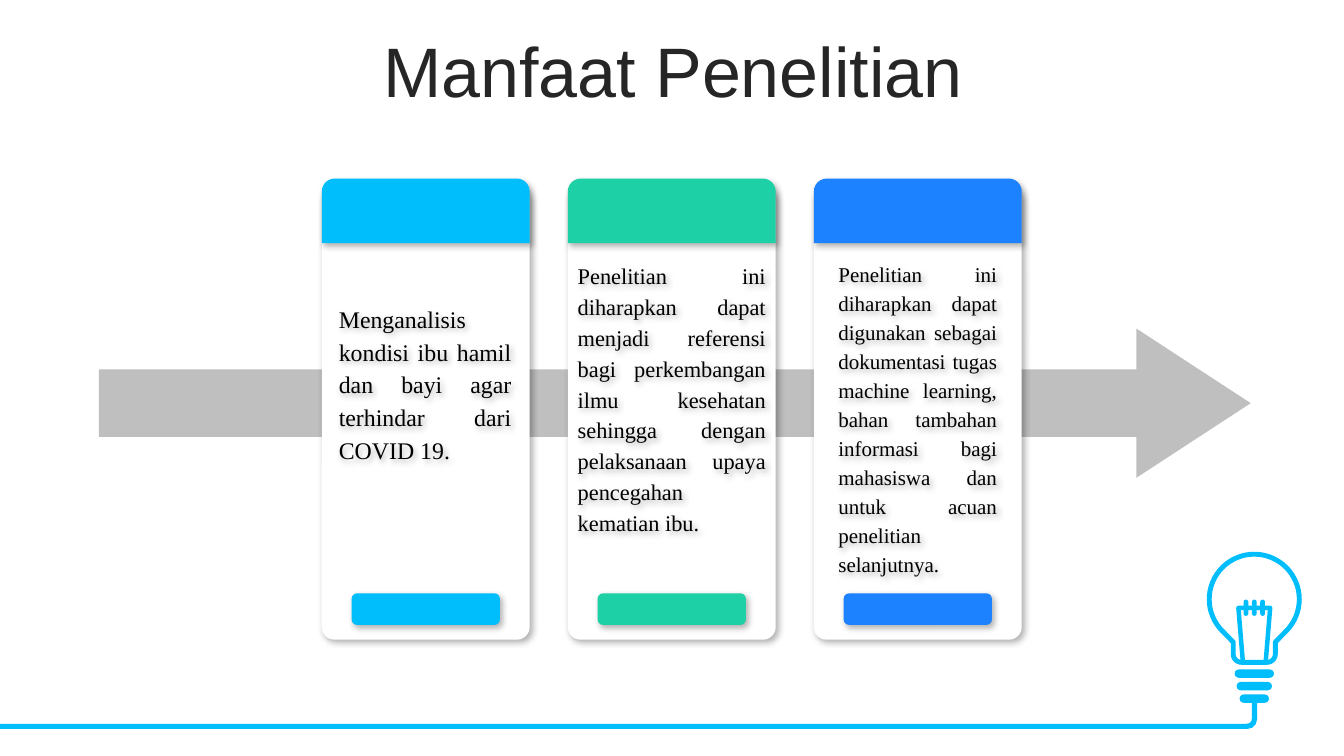
"""Build the "Manfaat Penelitian" slide: three benefit cards on an arrow, with a light bulb."""
from math import cos, radians, sin

from lxml.etree import SubElement
from pptx import Presentation
from pptx.dml.color import RGBColor
from pptx.enum.shapes import MSO_SHAPE as SHAPE
from pptx.enum.text import MSO_ANCHOR as ANCHOR, MSO_AUTO_SIZE as AUTO_SIZE, PP_ALIGN as ALIGN
from pptx.oxml.ns import qn
from pptx.util import Cm, Pt

CYAN, WHITE = "00BDFB", "FFFFFF"


def paint(part, color, adjustments=(), shadow=False):
    """Style a part; a color of None leaves its fill alone."""
    part.shadow.inherit = False
    if color:
        part.fill.solid()
        part.fill.fore_color.rgb = RGBColor.from_string(color)
        part.line.fill.background()
    for index, value in enumerate(adjustments):
        part.adjustments[index] = value
    if shadow:
        effects = part._element.spPr.find(qn("a:effectLst"))
        outer = SubElement(effects, qn("a:outerShdw"), blurRad=str(Pt(4.5)), dist=str(Pt(2.6)),
                           dir=str(53 * 60000), algn="tl", rotWithShape="0")
        black = SubElement(outer, qn("a:srgbClr"), val="000000")
        SubElement(black, qn("a:alpha"), val="30000")
    return part


def arc(x, y, radius, start, end):
    """Return points on an arc, in Cm, with angles in degrees."""
    steps = 48
    angles = [radians(start + (end - start) * step / steps) for step in range(steps + 1)]
    return [(Cm(x + radius * cos(angle)), Cm(y + radius * sin(angle))) for angle in angles]


deck = Presentation()
deck.slide_width, deck.slide_height = Cm(33.87), Cm(19.05)
slide = deck.slides.add_slide(deck.slide_layouts[6])
shapes = slide.shapes

bulb_x = 31.61
bulb_outline = (
    arc(bulb_x, 15.1, 1.135, 135, 405)
    + [(Cm(bulb_x + 0.53), Cm(16.18))]
    + arc(bulb_x + 0.32, 16.48, 0.21, 0, 90)
    + arc(bulb_x - 0.32, 16.48, 0.21, 90, 180)
    + [(Cm(bulb_x - 0.53), Cm(16.18))]
)
filament_wire = [(Cm(bulb_x + dx), Cm(y))
                 for dx, y in ((-0.29, 16.65), (-0.4, 15.32), (0.4, 15.32), (0.29, 16.65))]
for points, closed, weight in ((bulb_outline, True, 3.5), (filament_wire, False, 3.2)):
    builder = shapes.build_freeform(*points[0], scale=1.0)
    builder.add_line_segments(points[1:], close=closed)
    glass = paint(builder.convert_to_shape(), WHITE)
    if not closed:
        glass.fill.background()
    glass.line.color.rgb = RGBColor.from_string(CYAN)
    glass.line.width = Pt(weight)

bulb_pills = [(bulb_x, 16.87 + 0.315 * row, width, 0.21)
              for row, width in enumerate((0.99, 0.89, 0.74))]
bulb_pills += [(bulb_x + 0.21 * column, 15.11, 0.12, 0.41) for column in (-1, 0, 1)]
for center, top, width, height in bulb_pills:
    pill = shapes.add_shape(SHAPE.ROUNDED_RECTANGLE, Cm(center - width / 2), Cm(top),
                            Cm(width), Cm(height))
    paint(pill, CYAN, [0.5])

for kind, left, top, width, height, color, adjustments in (
    (SHAPE.RECTANGLE, 0, 18.24, 31.42, 0.13, CYAN, ()),
    (SHAPE.RECTANGLE, 31.55, 17.7, 0.13, 0.44, CYAN, ()),
    (SHAPE.BLOCK_ARC, 31.19, 17.88, 0.49, 0.49, CYAN, (213.394, 60.915, 0.271)),
    (SHAPE.RIGHT_ARROW, 2.49, 8.28, 29.03, 3.76, "BFBFBF", (0.453, 0.766)),
):
    paint(shapes.add_shape(kind, Cm(left), Cm(top), Cm(width), Cm(height)), color, adjustments)

title = shapes.add_textbox(Cm(0.89), Cm(0.94), Cm(32.16), Cm(2.01)).text_frame
title.word_wrap = True
title.vertical_anchor = ANCHOR.MIDDLE
heading = title.paragraphs[0]
heading.alignment = ALIGN.CENTER
heading.line_spacing = 0.8
heading_run = heading.add_run()
heading_run.text = "Manfaat Penelitian"
heading_run.font.name = "Arial"
heading_run.font.size = Pt(50)
heading_run.font.color.rgb = RGBColor.from_string("262626")

benefits = (
    (CYAN, 17, 0.18, 7.44, 4.85, 5.38,
     "Menganalisis kondisi ibu hamil dan bayi agar terhindar dari COVID 19."),
    ("1ED0A6", 16, 0, 6.38, 5.24, 8.23,
     "Penelitian ini diharapkan dapat menjadi referensi bagi perkembangan ilmu kesehatan "
     "sehingga dengan pelaksanaan upaya pencegahan kematian ibu."),
    ("1C82FF", 15, 0.37, 6.38, 4.5, 8.28,
     "Penelitian ini diharapkan dapat digunakan sebagai dokumentasi tugas machine learning, "
     "bahan tambahan informasi bagi mahasiswa dan untuk acuan penelitian selanjutnya."),
)
for index, (color, size, indent, top, width, height, benefit) in enumerate(benefits):
    card_left = 8.11 + 6.2 * index
    for kind, dx, y, w, h, fill, adjustments in (
        (SHAPE.ROUNDED_RECTANGLE, 0, 4.72, 5.24, 11.4, WHITE, [0.061]),
        (SHAPE.ROUND_2_SAME_RECTANGLE, 0, 4.5, 5.24, 1.63, color, [0.2, 0]),
        (SHAPE.ROUNDED_RECTANGLE, 0.75, 14.95, 3.74, 0.8, color, [0.178]),
    ):
        part = shapes.add_shape(kind, Cm(card_left + dx), Cm(y), Cm(w), Cm(h))
        paint(part, fill, adjustments, shadow=True)

    benefit_box = shapes.add_textbox(Cm(card_left + indent), Cm(top), Cm(width), Cm(height))
    paint(benefit_box, None, shadow=True)
    frame = benefit_box.text_frame
    frame.word_wrap = True
    frame.auto_size = AUTO_SIZE.SHAPE_TO_FIT_TEXT
    paragraph = frame.paragraphs[0]
    paragraph.alignment = ALIGN.JUSTIFY
    paragraph.line_spacing = 1.15
    paragraph.space_before = Pt(6)
    run = paragraph.add_run()
    run.text = benefit
    run.font.name = "Times New Roman"
    run.font.size = Pt(size)
    run.font.color.rgb = RGBColor.from_string("000000")

deck.save("out.pptx")
